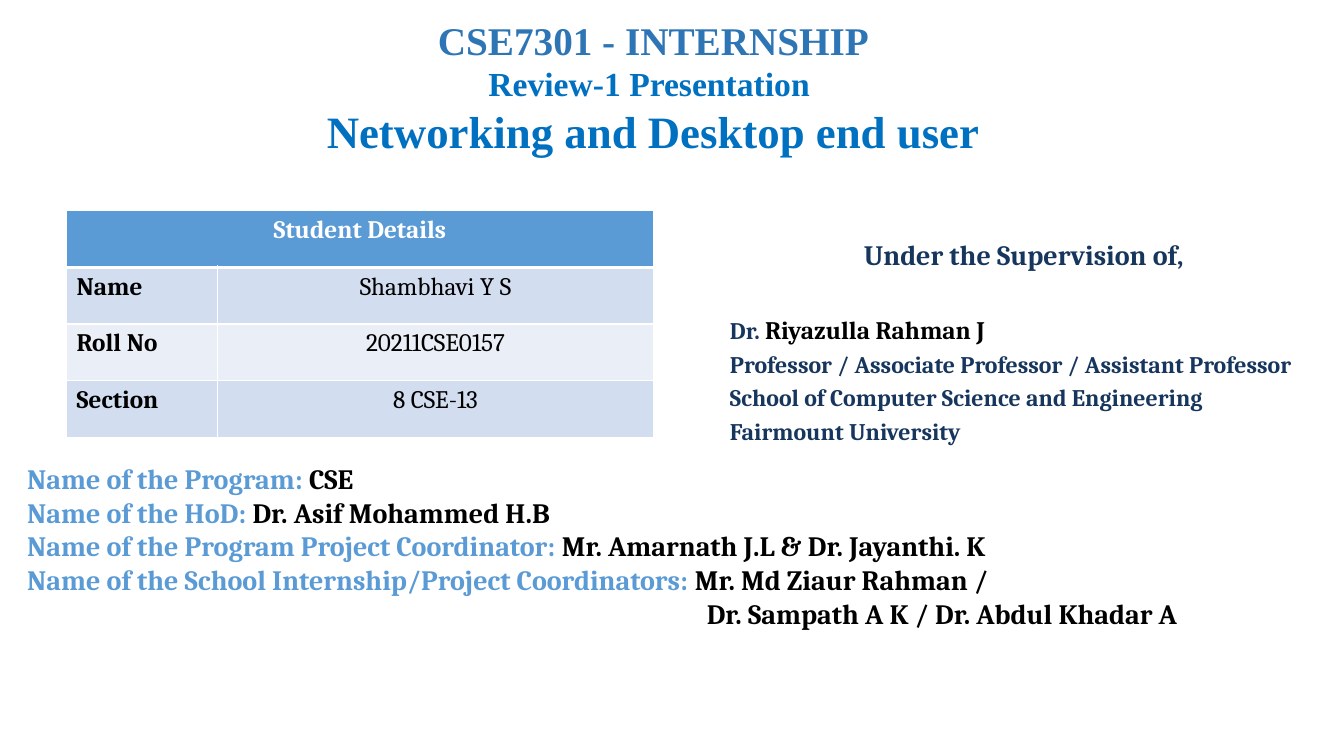
from dataclasses import dataclass

from lxml.etree import SubElement
from pptx import Presentation
from pptx.dml.color import RGBColor
from pptx.enum.text import MSO_ANCHOR, MSO_AUTO_SIZE, PP_ALIGN
from pptx.oxml.ns import qn
from pptx.util import Inches, Pt

COLORS = {
    "title": "2E75B6", "subtitle": "0070C0", "navy": "17365D",
    "accent": "5B9BD5", "band": "D2DEEF", "pale": "EAEFF7",
    "white": "FFFFFF", "black": "000000",
}


@dataclass
class Span:
    text: str
    color: str
    size: float


@dataclass
class Line:
    spans: list[Span]
    align: PP_ALIGN = PP_ALIGN.LEFT
    before: float = 0
    indent: float = 0


@dataclass
class Block:
    box: tuple[float, float, float, float]
    font: str
    lines: list[Line]
    top_inset: float = 0.05


def rgb(name: str) -> RGBColor:
    return RGBColor.from_string(COLORS[name])


def fill_placeholder(sp, block: Block) -> None:
    sp.left, sp.top, sp.width, sp.height = map(Inches, block.box)
    tf = sp.text_frame
    tf.word_wrap = True
    tf.auto_size = MSO_AUTO_SIZE.NONE
    tf.vertical_anchor = MSO_ANCHOR.TOP
    tf.margin_top = Inches(block.top_inset)
    for i, line in enumerate(block.lines):
        p = tf.paragraphs[0] if i == 0 else tf.add_paragraph()
        p.alignment = line.align
        p.line_spacing = 1.0
        p.space_before = Pt(line.before)
        p.space_after = Pt(0)
        p.font.name, p.font.bold = block.font, True
        pPr = p._p.get_or_add_pPr()
        pPr.set("marL", str(Inches(line.indent)))
        pPr.set("indent", "0")
        pPr.insert_element_before(
            pPr.makeelement(qn("a:buNone")), "a:tabLst", "a:defRPr", "a:extLst")
        for span in line.spans:
            r = p.add_run()
            r.text = span.text
            r.font.size = Pt(span.size)
            r.font.color.rgb = rgb(span.color)


def add_borders(cell, bottom: float) -> None:
    """Draw white cell borders, 1 pt except for the bottom one."""
    tcPr = cell._tc.get_or_add_tcPr()
    for tag, width in (("lnL", 1), ("lnR", 1), ("lnT", 1), ("lnB", bottom)):
        ln = SubElement(tcPr, qn(f"a:{tag}"), w=str(Pt(width)))
        solid = SubElement(ln, qn("a:solidFill"))
        SubElement(solid, qn("a:srgbClr"), val=COLORS["white"])


def set_cell(cell, text: str, fill: str, color: str, bold: bool,
             align: PP_ALIGN, bottom: float = 1) -> None:
    add_borders(cell, bottom)
    cell.fill.solid()
    cell.fill.fore_color.rgb = rgb(fill)
    p = cell.text_frame.paragraphs[0]
    p.text = text
    p.alignment = align
    p.font.name, p.font.size, p.font.bold = "Cambria", Pt(18), bold
    p.font.color.rgb = rgb(color)


def add_student_table(slide, details: list[tuple[str, str]]) -> None:
    table = slide.shapes.add_table(
        len(details) + 1, 2, Inches(0.66), Inches(2.09), Inches(5.82), Inches(2.25)).table
    for column, width in zip(table.columns, (1.5, 4.32)):
        column.width = Inches(width)
    for col, text in enumerate(("Student Details", "")):
        set_cell(table.cell(0, col), text, "accent", "white", True, PP_ALIGN.CENTER, 3)
    table.cell(0, 0).merge(table.cell(0, 1))
    for row, (label, value) in enumerate(details, 1):
        fill = "band" if row % 2 else "pale"
        set_cell(table.cell(row, 0), label, fill, "black", True, PP_ALIGN.LEFT)
        set_cell(table.cell(row, 1), value, fill, "black", False, PP_ALIGN.CENTER)


TITLE = Block((0.73, 0.16, 11.5, 1.71), "Times New Roman", [
    Line([Span(text, color, size)], PP_ALIGN.CENTER)
    for text, color, size in (
        ("CSE7301 - INTERNSHIP", "title", 28),
        ("Review-1 Presentation ", "subtitle", 24),
        ("Networking and Desktop end user", "subtitle", 32),
    )
], top_inset=0)

SUPERVISOR = Block((7.14, 2.31, 6.03, 2.21), "Cambria", [
    Line([Span("Under the Supervision of,", "navy", 20)], PP_ALIGN.CENTER),
    Line([Span("Dr. ", "navy", 17), Span("Riyazulla Rahman J", "black", 18)], before=30.8),
    *(Line([Span(text, "navy", 17)], before=3.4) for text in (
        "Professor / Associate Professor / Assistant Professor",
        "School of Computer Science and Engineering",
        "Fairmount University",
    )),
])

COORDINATORS = Block((0.17, 4.53, 13.4, 1.71), "Cambria", [
    *(Line([Span(f"Name of the {role}: ", "accent", 20), Span(name, "black", 20)])
      for role, name in (
          ("Program", "CSE"),
          ("HoD", "Dr. Asif Mohammed H.B"),
          ("Program Project Coordinator", "Mr. Amarnath J.L & Dr. Jayanthi. K"),
          ("School Internship/Project Coordinators", "Mr. Md Ziaur Rahman /"),
      )),
    Line([Span("Dr. Sampath A K / Dr. Abdul Khadar A", "black", 20)], indent=6.74),
])

STUDENT = [("Name", "Shambhavi Y S"), ("Roll No", "20211CSE0157"), ("Section", "8 CSE-13")]


def main() -> None:
    prs = Presentation()
    prs.slide_width, prs.slide_height = Inches(13.33), Inches(7.5)
    slide = prs.slides.add_slide(prs.slide_layouts.get_by_name("Two Content"))
    title, supervisor, coordinators = list(slide.placeholders)[:3]
    fill_placeholder(supervisor, SUPERVISOR)
    fill_placeholder(coordinators, COORDINATORS)
    fill_placeholder(title, TITLE)
    add_student_table(slide, STUDENT)
    prs.save("out.pptx")


if __name__ == "__main__":
    main()
